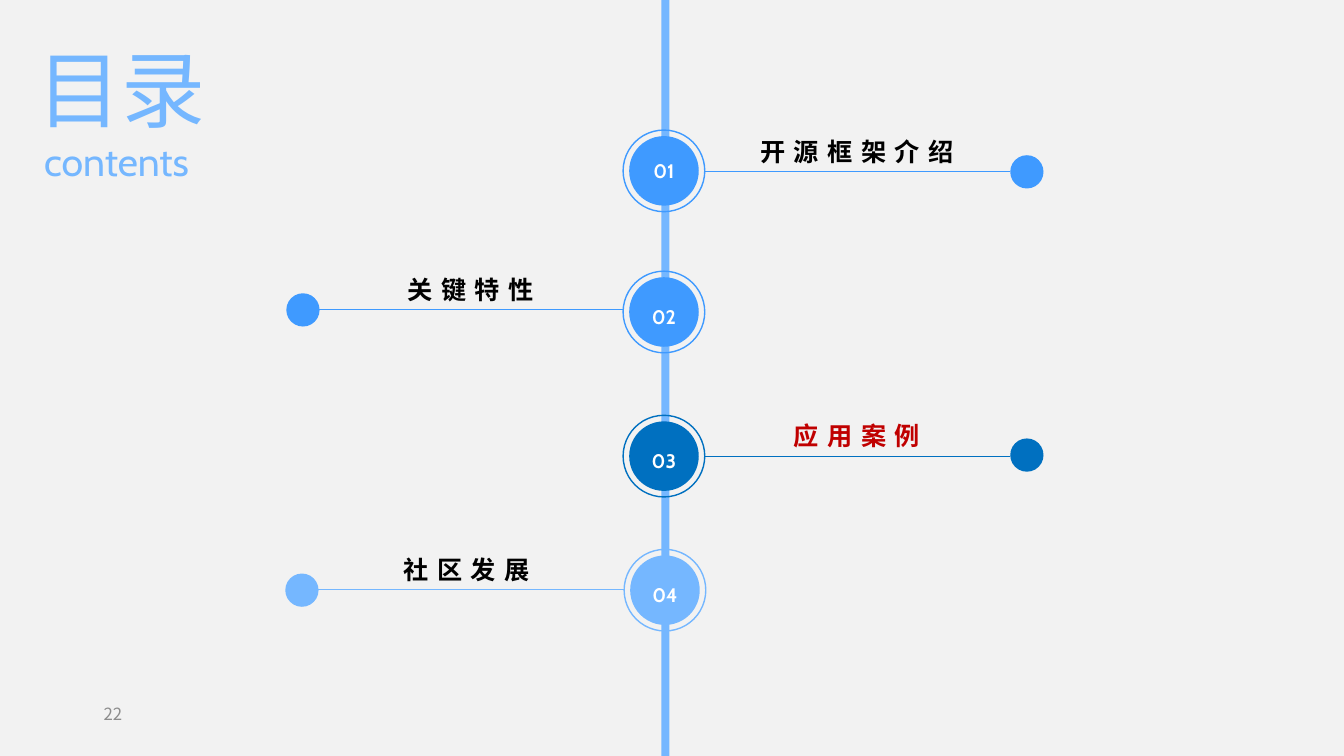
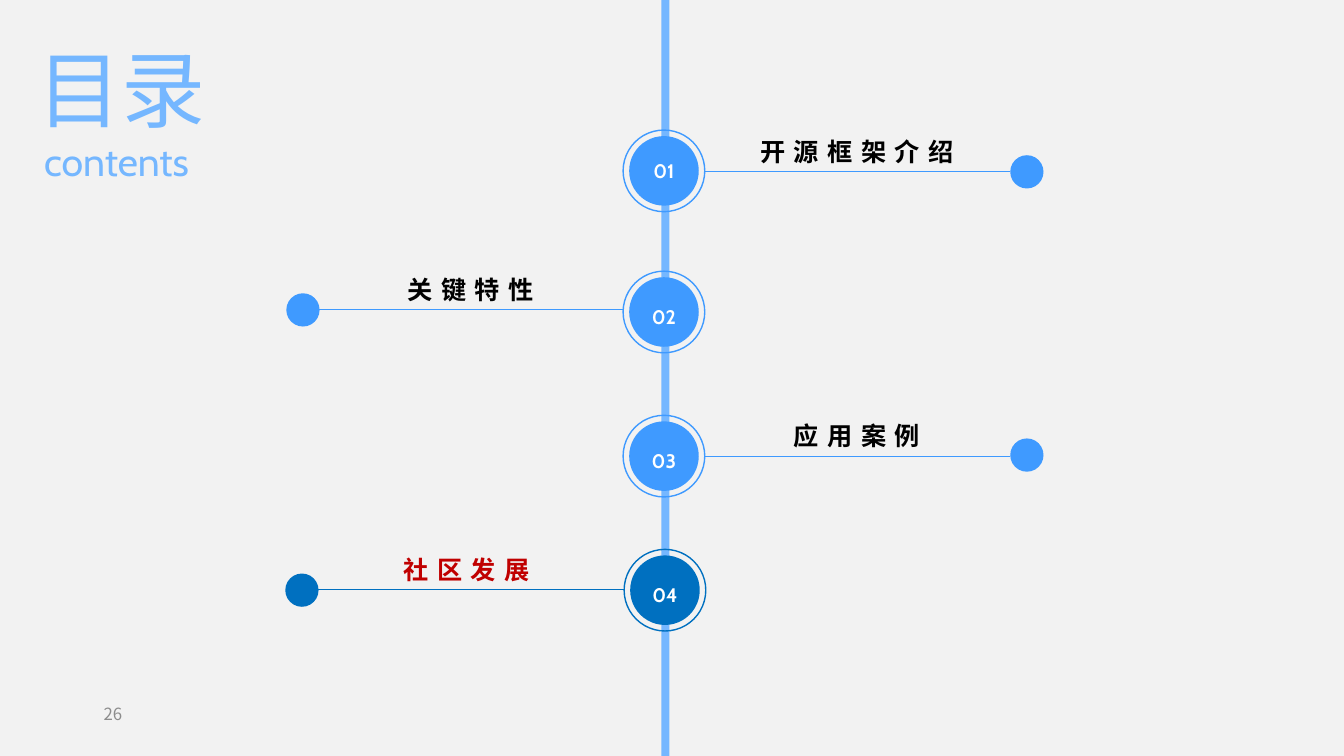
from dataclasses import dataclass

from lxml import etree
from pptx import Presentation
from pptx import util as u
from pptx.dml.color import RGBColor
from pptx.enum import shapes, text
from pptx.oxml import ns

PX = 9144
SLIDE_WIDTH, SLIDE_HEIGHT = 1333, 750


@dataclass(frozen=True)
class Theme:
    """Colours, fonts and type sizes shared by the slides."""
    background: str = "F2F2F2"
    pale: str = "75B7FF"
    blue: str = "3F9AFF"
    active: str = "0070C0"
    active_label: str = "C00000"
    label: str = "000000"
    white: str = "FFFFFF"
    grey: str = "8C8C8C"
    font: str = "Cabin"
    chinese_font: str = "Noto Sans CJK SC"
    title_size: int = 60
    subtitle_size: int = 28
    label_size: int = 18
    number_size: int = 14
    page_size: int = 12


THEME = Theme()


@dataclass(frozen=True)
class Entry:
    """One agenda entry; branch parts are offsets from the ring's corner."""
    number: str
    name: str
    ring: tuple
    line_drop: int
    dot: tuple
    label: tuple
    colour: str = THEME.blue
    line_spacing: float = 1.4


RING, DISC, DOT = 81, 69, 33
ENTRIES = (
    Entry("01", "开源框架介绍", (618, 129), 41, (384, 25), (107, 1, 250), line_spacing=1.0),
    Entry("02", "关键特性", (618, 269), 38, (-334, 22), (-293, -2, 284)),
    Entry("03", "应用案例", (618, 412), 41, (384, 23), (107, 0, 250)),
    Entry("04", "社区发展", (619, 545), 40, (-336, 24), (-281, 0, 250), colour=THEME.pale),
)


def emu(*lengths):
    """Turn px lengths into EMU."""
    return [u.Emu(round(length * PX)) for length in lengths]


def write(shape, content, size, colour, font=THEME.font, bold=False, spacing=0,
          line_spacing=None, align=text.PP_ALIGN.LEFT, anchor=text.MSO_ANCHOR.TOP):
    """Put one formatted paragraph into a shape."""
    frame = shape.text_frame
    frame.word_wrap = True
    frame.auto_size = text.MSO_AUTO_SIZE.NONE
    frame.vertical_anchor = anchor
    paragraph = frame.paragraphs[0]
    paragraph.alignment = align
    if line_spacing:
        paragraph.line_spacing = line_spacing
    run = paragraph.add_run()
    run.text = content
    run.font.size = u.Pt(size)
    run.font.bold = bold
    run.font.name = font
    run.font.color.rgb = RGBColor.from_string(colour)
    properties = run.font._element
    etree.SubElement(properties, ns.qn("a:ea")).set("typeface", THEME.chinese_font)
    if spacing:
        properties.set("spc", str(spacing * 100))


def add_text(slide, box, content, size, colour, **text_format):
    """Add a text box."""
    write(slide.shapes.add_textbox(*emu(*box)), content, size, colour, **text_format)


def add_figure(slide, kind, box, fill=None, outline=None):
    """Add a flat preset shape with a fill, an outline or both."""
    shape = slide.shapes.add_shape(kind, *emu(*box))
    shape.shadow.inherit = False
    if fill:
        shape.fill.solid()
        shape.fill.fore_color.rgb = RGBColor.from_string(fill)
    else:
        shape.fill.background()
    if outline:
        shape.line.color.rgb = RGBColor.from_string(outline)
        shape.line.width = u.Pt(1)
    else:
        shape.line.fill.background()
    return shape


def add_line(slide, start, end, colour):
    """Add a thin straight line."""
    line = slide.shapes.add_connector(shapes.MSO_CONNECTOR.STRAIGHT, *emu(*start, *end))
    line.line.color.rgb = RGBColor.from_string(colour)
    line.line.width = u.Pt(0.5)
    etree.SubElement(line._element.spPr, ns.qn("a:effectLst"))


def draw_heading(slide, left, top):
    """Place the title and its subtitle from the given corner."""
    title = slide.shapes.title
    title.left, title.top, title.width, title.height = emu(left, top, 333, 111)
    write(title, "目录", THEME.title_size, THEME.pale)
    add_text(slide, (left + 7, top + 99, 195, 57), "contents",
             THEME.subtitle_size, THEME.pale)


def draw_entry(slide, entry, is_active):
    """Draw an entry's numbered ring and its branch with label and dot."""
    oval = shapes.MSO_SHAPE.OVAL
    left, top = entry.ring
    colour = THEME.active if is_active else entry.colour
    inset = (RING - DISC) // 2
    disc = add_figure(slide, oval, (left + inset, top + inset, DISC, DISC), fill=colour)
    write(disc, entry.number, THEME.number_size, THEME.white, bold=True,
          line_spacing=entry.line_spacing, align=text.PP_ALIGN.CENTER,
          anchor=text.MSO_ANCHOR.MIDDLE)
    add_figure(slide, oval, (left, top, RING, RING), outline=colour)

    dot_left, dot_top = left + entry.dot[0], top + entry.dot[1]
    line_top = top + entry.line_drop
    if dot_left > left:
        line_start, line_end = left + RING, dot_left
    else:
        line_start, line_end = dot_left + DOT - 1, left
    add_line(slide, (line_start, line_top), (line_end, line_top), colour)
    add_figure(slide, oval, (dot_left, dot_top, DOT, DOT), fill=colour)

    label_left, label_top, label_width = entry.label
    add_text(slide, (left + label_left, top + label_top, label_width, 40), entry.name,
             THEME.label_size, THEME.active_label if is_active else THEME.label,
             bold=True, spacing=6, align=text.PP_ALIGN.CENTER)


def build_contents_slide(presentation, active_number, page):
    """Build a contents slide with one entry highlighted."""
    slide = presentation.slides.add_slide(presentation.slide_layouts[5])
    add_figure(slide, shapes.MSO_SHAPE.RECTANGLE, (656, 0, 8, SLIDE_HEIGHT), fill=THEME.pale)
    draw_heading(slide, 27, 32)
    for entry in ENTRIES:
        draw_entry(slide, entry, entry.number == active_number)
    add_text(slide, (93, 691, 295, 35), page, THEME.page_size, THEME.grey,
             font=THEME.chinese_font, anchor=text.MSO_ANCHOR.MIDDLE)


def main():
    """Build and save the presentation."""
    presentation = Presentation()
    presentation.slide_width, presentation.slide_height = emu(SLIDE_WIDTH, SLIDE_HEIGHT)
    background = presentation.slide_master.background.fill
    background.solid()
    background.fore_color.rgb = RGBColor.from_string(THEME.background)
    for active_number, page in (("03", "22"), ("04", "26")):
        build_contents_slide(presentation, active_number, page)
    presentation.save("out.pptx")


if __name__ == "__main__":
    main()
